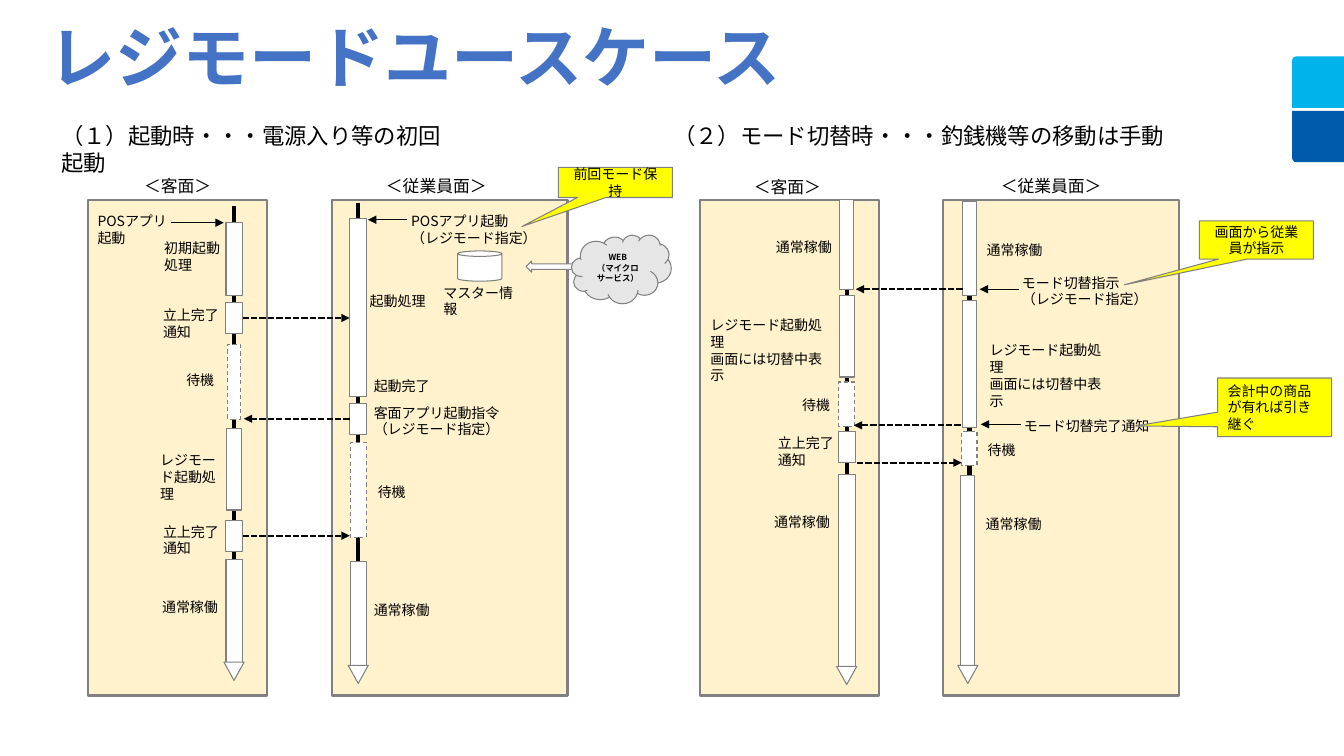
from lxml import etree
from pptx import Presentation
from pptx.dml.color import RGBColor
from pptx.enum.dml import MSO_LINE
from pptx.enum.shapes import MSO_CONNECTOR, MSO_SHAPE
from pptx.enum.text import MSO_ANCHOR, MSO_AUTO_SIZE, PP_ALIGN
from pptx.oxml.ns import qn
from pptx.util import Pt

RECT, TIP, CAN = MSO_SHAPE.RECTANGLE, MSO_SHAPE.FLOWCHART_MERGE, MSO_SHAPE.CAN
CLOUD, ARROW = MSO_SHAPE.CLOUD, MSO_SHAPE.LEFT_ARROW
CALL, TAB = MSO_SHAPE.RECTANGULAR_CALLOUT, MSO_SHAPE.ROUND_1_RECTANGLE
LINE = MSO_CONNECTOR.STRAIGHT
DASH, DOTS = MSO_LINE.DASH, MSO_LINE.SQUARE_DOT
LEFT, MID = PP_ALIGN.LEFT, PP_ALIGN.CENTER
GREY, BLACK, WHITE = "808080", "000000", "FFFFFF"
YELLOW, CREAM = "FFFF00", "FFF2CC"
JP, SC = "Noto Sans CJK JP", "Noto Sans CJK SC"

# Content: text as (left, top, width, wording), grouped by size
TITLE = (27.4, 7.2, 548, "レジモードユースケース")
HEADS = [
    (36.7, 83.5, 289.4, "（１）起動時・・・電源入り等の初回起動"),
    (473.8, 83.5, 440.6, "（２）モード切替時・・・釣銭機等の移動は手動"),
]
NAMES = [
    (95.8, 121.7, 79.2, "＜客面＞"),
    (268.6, 121.7, 92.9, "＜従業員面＞"),
    (531.4, 122.4, 79.2, "＜客面＞"),
    (707.8, 121.7, 92.9, "＜従業員面＞"),
]
NOTES = [
    # First case, customer side
    (62.6, 148.3, 64.8, "POSアプリ起動"),
    (110.2, 167.8, 58.3, "初期起動処理"),
    (109.4, 215.3, 57.6, "立上完了通知"),
    (126, 262.1, 45.4, "待機"),
    (107.3, 319, 61.2, "レジモード起動処理"),
    (109.4, 370.1, 57.6, "立上完了通知"),
    (108.7, 424.1, 64.8, "通常稼働"),
    # First case, staff side
    (286.6, 148.3, 117.4, "POSアプリ起動\n（レジモード指定）"),
    (309.6, 199.4, 66.2, "マスター情報"),
    (257, 205.2, 64.8, "起動処理"),
    (259.9, 266.4, 66.2, "起動完了"),
    (259.9, 285.1, 113.8, "客面アプリ起動指令\n（レジモード指定）"),
    (262.8, 342, 45.4, "待機"),
    (259.9, 426.2, 64.8, "通常稼働"),
    # Second case, customer side
    (547.2, 167, 64.8, "通常稼働"),
    (500.4, 222.5, 101.5, "レジモード起動処理\n画面には切替中表示"),
    (565.9, 279.4, 45.4, "待機"),
    (548.6, 306.7, 57.6, "立上完了通知"),
    (545.8, 362.9, 64.8, "通常稼働"),
    # Second case, staff side
    (697.7, 169.2, 64.8, "通常稼働"),
    (722.9, 192.2, 117.4, "モード切替指示\n（レジモード指定）"),
    (699.8, 240.5, 101.5, "レジモード起動処理\n画面には切替中表示"),
    (724.3, 294.5, 117.4, "モード切替完了通知"),
    (698.4, 311.8, 45.4, "待機"),
    (697, 365, 64.8, "通常稼働"),
]

# Lanes: panel left, panel width, axis, line top and end, tip top,
# bars as (shift, top, width, height, dash)
LANES = [
    (62.6, 128.2, 167.2, 147, 475, 473, [
        (0, 159, 11.5, 52, None), (0, 216, 12.2, 22.3, None),
        (0, 246.2, 9.4, 53.3, DASH), (0, 306, 10.8, 58.3, None),
        (0, 371.5, 12.2, 22.3, None), (0, 399.6, 11.5, 74.9, None)]),
    (236.9, 168.5, 255.9, 144.7, 473, 475.2, [
        (0, 156.2, 12.2, 127.4, None), (0, 288, 12.2, 22.3, None),
        (0, 316, 11.5, 67.7, DASH), (0, 401, 11.5, 74.9, None)]),
    (499.7, 128.2, 604.8, 147, 475, 476, [
        (0, 142.6, 10, 64, None), (0, 211, 10.8, 58.3, None),
        (0, 272.9, 11.5, 31.7, DASH), (0, 308.2, 12.2, 22.3, None),
        (0, 339.1, 12.2, 137.5, None)]),
    (673.9, 168.5, 692.5, 144.7, 473, 475.2, [
        (0, 144, 10, 67, None), (0, 214.6, 10, 90.7, None),
        (0, 308.2, 10.8, 24.5, DASH), (-1.2, 339.8, 10, 135.4, None)]),
]
# Messages: from x, to x, y, joined start as (lane, bar, side)
SENDS = [
    (173.3, 249.8, 227.15, (0, 1, 3)),
    (249.8, 174.2, 299.15, (1, 1, 1)),
    (173.3, 249.8, 382.65, (0, 4, 3)),
    (687.6, 611.3, 206.6, None),
    (686.2, 609.8, 303.8, None),
    (612, 686.9, 330.5, None),
]
CUES = [(122.4, 159.8, 159.1), (290.9, 262.8, 157),
        (727.9, 699.8, 206.6), (729.4, 700.6, 303.1)]
# Callouts: box, pointer, alignment, wording
CALLS = [
    ((869.8, 270, 81.4, 41.8), (-1.22, 0.32), LEFT,
     "会計中の商品が有れば引き継ぐ"),
    ((398.9, 119.5, 81.4, 21.6), (-0.82, 1.46), MID, "前回モード保持"),
    ((856.8, 157.7, 81.4, 27.4), (-1.16, 1.17), MID, "画面から従業員が指示"),
]
TABS = [(40.3, "00B3EB", ["flipH"]), (79.2, "005BAC", ["flipH", "flipV"])]

deck = Presentation()
deck.slide_width, deck.slide_height = Pt(960), Pt(540)
slide = deck.slides.add_slide(deck.slide_layouts[6])
shapes = slide.shapes


def hue(code):
    return RGBColor.from_string(code)


def write(frame, words, size, align=LEFT, color=BLACK, face=JP, bold=False):
    frame.text = words
    look = {"size": Pt(size), "name": face, "bold": bold}
    for para in frame.paragraphs:
        para.alignment = align
        for run in para.runs:
            for key, val in look.items():
                setattr(run.font, key, val)
            run.font.color.rgb = hue(color)
            east = etree.SubElement(run.font._element, qn("a:ea"))
            east.set("typeface", face)


def label(item, size, wrap=True, **look):
    left, top, wide, words = item
    box = shapes.add_textbox(Pt(left), Pt(top), Pt(wide), Pt(size * 1.2 + 7.2))
    box.text_frame.word_wrap = wrap
    box.text_frame.auto_size = MSO_AUTO_SIZE.SHAPE_TO_FIT_TEXT
    write(box.text_frame, words, size, **look)


def draw(kind, box, fill=WHITE, line=GREY, wide=0.75, dash=None, adj=()):
    item = shapes.add_shape(kind, *map(Pt, box))
    item.shadow.inherit = False
    item.fill.solid()
    item.fill.fore_color.rgb = hue(fill)
    if line:
        item.line.color.rgb = hue(line)
        item.line.width = Pt(wide)
        item.line.dash_style = dash
    else:
        item.line.fill.background()
    for num, val in enumerate(adj):
        item.adjustments[num] = val
    return item


def link(start, end, wide, dash=None, head=True):
    item = shapes.add_connector(LINE, *map(Pt, start + end))
    item.line.color.rgb = hue(BLACK)
    item.line.width = Pt(wide)
    item.line.dash_style = dash
    if head:
        tail = etree.SubElement(item.line._get_or_add_ln(), qn("a:tailEnd"))
        tail.set("type", "triangle")
    etree.SubElement(item._element.spPr, qn("a:effectLst"))
    return item


# Side tabs and headings
for top, fill, flips in TABS:
    tab = draw(TAB, (923, top, 37, 36.7), fill, None, adj=[0.08])
    for flip in flips:
        tab._element.spPr.find(qn("a:xfrm")).set(flip, "1")
label(TITLE, 48, wrap=False, color="4472C4", face=SC, bold=True)
for group, size in ((HEADS, 16), (NAMES, 12)):
    for item in group:
        label(item, size)

# Lanes with their bars
bars = []
for left, wide, axis, top, end, tip, parts in LANES:
    draw(RECT, (left, 142.6, wide, 354.2), CREAM, wide=1.5)
    link((axis, top), (axis, end), 3, head=False)
    lane = []
    for shift, y, w, h, dash in parts:
        mid = axis + shift
        lane.append(draw(RECT, (mid - w / 2, y, w, h), dash=dash))
    draw(TIP, (mid - 7.2, tip, 14.4, 13))
    bars.append(lane)

# Messages and cues
for x1, x2, y, join in SENDS:
    send = link((x1, y), (x2, y), 1.5, DOTS)
    if join:
        lane, bar, side = join
        send.begin_connect(bars[lane][bar], side)
for x1, x2, y in CUES:
    link((x1, y), (x2, y), 0.5)

# Notes, master data and cloud service
for item in NOTES:
    label(item, 10)
draw(CAN, (326.9, 179.3, 31.7, 21.6), adj=[0.18])
draw(ARROW, (375.8, 186.5, 39.6, 7.9))
cloud = draw(CLOUD, (408.2, 167.8, 71.3, 49), "E7E6E6")
cloud.text_frame.vertical_anchor = MSO_ANCHOR.MIDDLE
write(cloud.text_frame, "WEB\n（マイクロサービス）", 6, MID, bold=True)

# Callouts
for box, point, align, words in CALLS:
    call = draw(CALL, box, YELLOW, adj=point)
    call.text_frame.vertical_anchor = MSO_ANCHOR.MIDDLE
    write(call.text_frame, words, 10, align)

deck.save("out.pptx")
